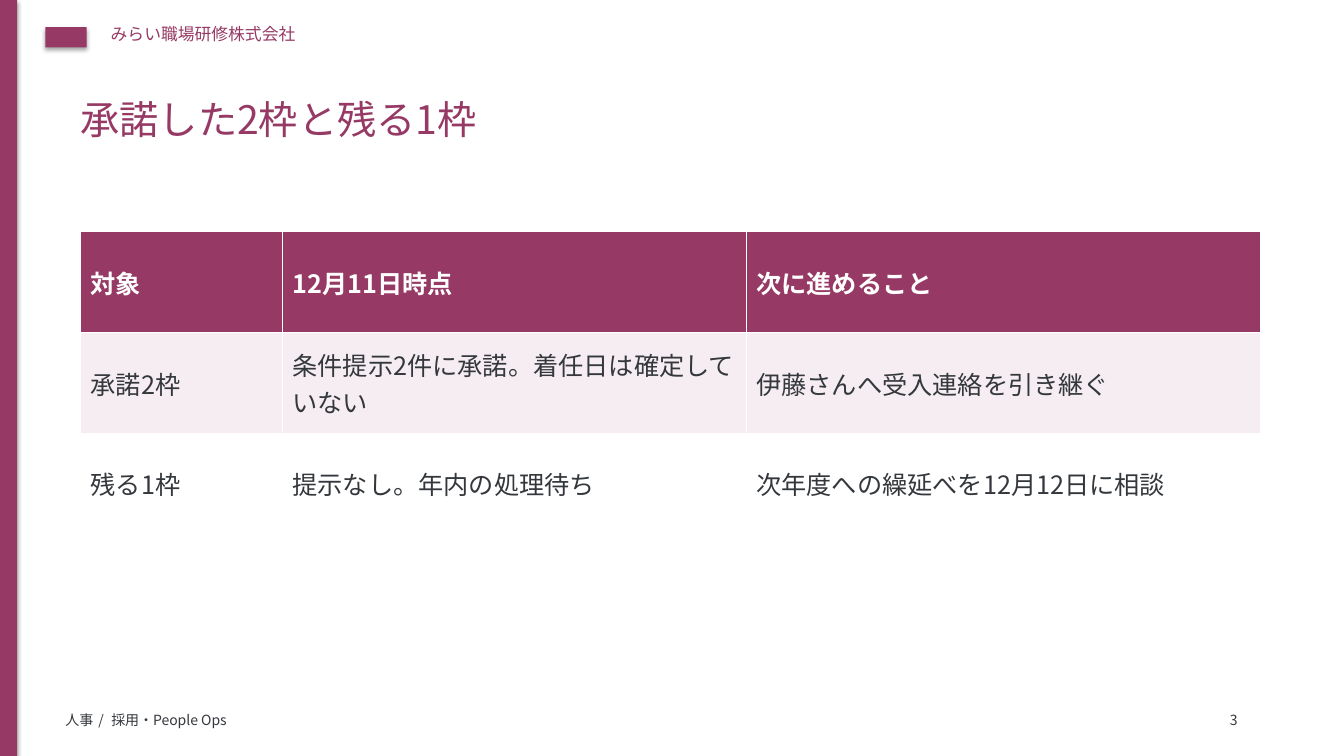
import pptx
import pptx.dml.color
import pptx.enum.lang
import pptx.enum.shapes
import pptx.enum.text
import pptx.oxml
import pptx.oxml.ns
import pptx.util

# Content
TITLE = "承諾した2枠と残る1枠"
ROWS = [
    ("対象", "12月11日時点", "次に進めること"),
    ("承諾2枠", "条件提示2件に承諾。着任日は確定していない", "伊藤さんへ受入連絡を引き継ぐ"),
    ("残る1枠", "提示なし。年内の処理待ち", "次年度への繰延べを12月12日に相談"),
]
COMPANY = ["みらい職場研修株式会社"]
DEPARTMENT = ["人事", " / ", "採用・People Ops"]
PAGE_NUMBER = ["3"]

# Style and layout, in px (100 to the inch)
FONT = "Noto Sans CJK JP"
COLORS = {"plum": "963A65", "ink": "34383C", "blush": "F5EDF1", "white": "FFFFFF"}
ROW_FILLS = ["plum", "blush", "white"]
COLUMN_WIDTHS = [200, 460, 510]
ROW_HEIGHT = 100
LABELS = [
    (COMPANY, (100, 19, 800, 40), 12, "plum"),
    (DEPARTMENT, (55, 701, 1000, 30), 10, "ink"),
    (PAGE_NUMBER, (1210, 701, 50, 30), 10, "ink"),
]
BLOCKS = [(0, 0, 17, 750), (45, 27, 41, 20)]  # side bar, plain brand mark


def px(length):
    return pptx.util.Emu(length * 9144)


def color(name):
    return pptx.dml.color.RGBColor.from_string(COLORS[name])


def add_text(para, text, size, tone, bold=False):
    span = para.add_run()
    span.text = text
    span.font.size = pptx.util.Pt(size)
    span.font.bold = bold
    span.font.name = FONT
    span.font.language_id = pptx.enum.lang.MSO_LANGUAGE_ID.JAPANESE
    span.font.color.rgb = color(tone)
    properties = span._r.get_or_add_rPr()
    east_asian = pptx.oxml.parse_xml(f'<a:ea {pptx.oxml.ns.nsdecls("a")} typeface="{FONT}"/>')
    properties.find(pptx.oxml.ns.qn("a:latin")).addnext(east_asian)
    if text == " / ":
        properties.set("spc", "150")  # wider gaps around the slash


deck = pptx.Presentation()
deck.slide_width, deck.slide_height = px(1333), px(750)
page = deck.slides.add_slide(deck.slide_layouts[5])

# Side bar and brand mark keep the theme's soft shadow
for place in BLOCKS:
    block = page.shapes.add_shape(pptx.enum.shapes.MSO_SHAPE.RECTANGLE, *map(px, place))
    block.fill.solid()
    block.fill.fore_color.rgb = color("plum")
    block.line.fill.background()

# Company, department and page number
for texts, place, size, tone in LABELS:
    box = page.shapes.add_textbox(*map(px, place))
    box.text_frame.word_wrap = True
    for text in texts:
        add_text(box.text_frame.paragraphs[0], text, size, tone)

# Title
title = page.shapes.title
title.left, title.top, title.width, title.height = map(px, (70, 90, 1180, 85))
title.text_frame.vertical_anchor = pptx.enum.text.MSO_ANCHOR.TOP
title_para = title.text_frame.paragraphs[0]
title_para.alignment = pptx.enum.text.PP_ALIGN.LEFT
add_text(title_para, TITLE, 28, "plum")

# Table: the default style supplies the white rules
table = page.shapes.add_table(
    len(ROWS), len(COLUMN_WIDTHS),
    px(80), px(230), px(sum(COLUMN_WIDTHS)), px(ROW_HEIGHT * len(ROWS)),
).table
for column, width in zip(table.columns, COLUMN_WIDTHS):
    column.width = px(width)
for row_index, (texts, fill) in enumerate(zip(ROWS, ROW_FILLS)):
    is_header = row_index == 0
    for column_index, text in enumerate(texts):
        cell = table.cell(row_index, column_index)
        cell.fill.solid()
        cell.fill.fore_color.rgb = color(fill)
        cell.vertical_anchor = pptx.enum.text.MSO_ANCHOR.MIDDLE
        add_text(cell.text_frame.paragraphs[0], text, 18, "white" if is_header else "ink", is_header)

deck.save("out.pptx")
